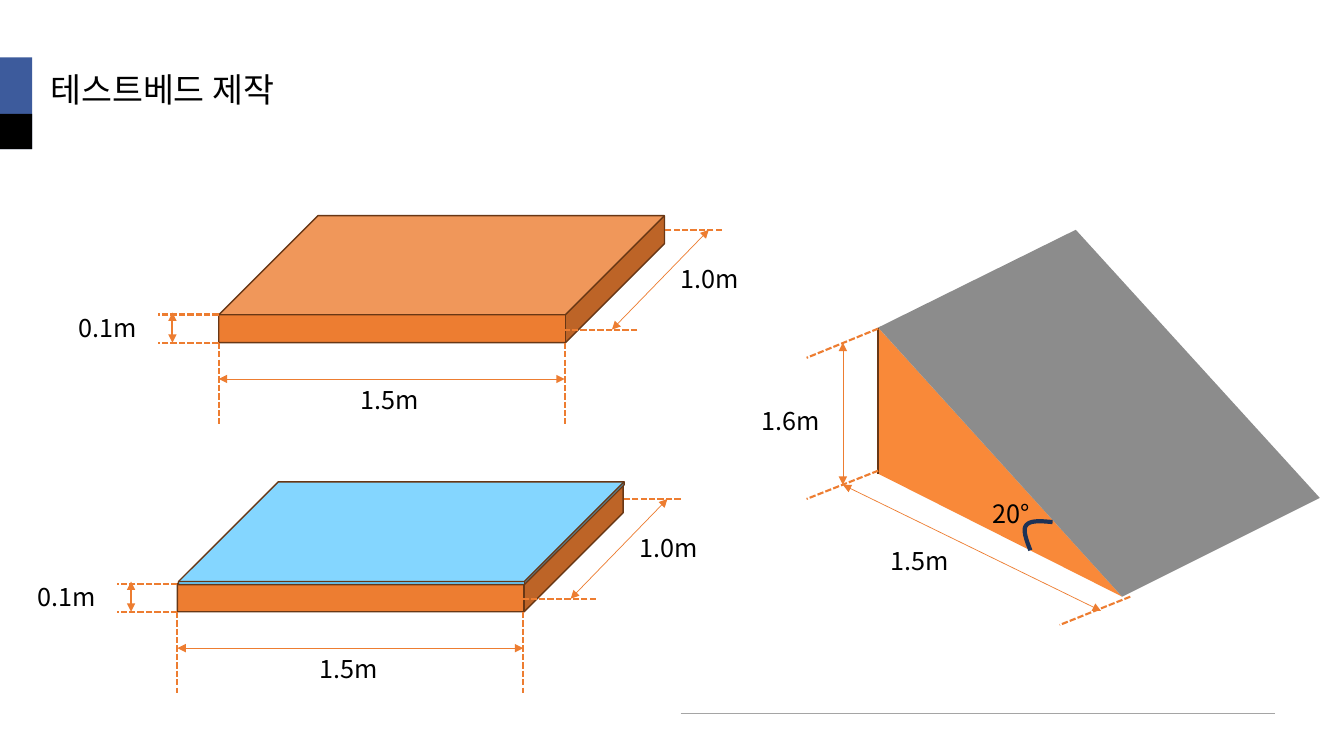
from lxml.etree import SubElement as Sub
from pptx import Presentation
from pptx.dml.color import RGBColor as Rgb
from pptx.enum.dml import MSO_LINE as Dash
from pptx.enum.shapes import MSO_CONNECTOR as Conn, MSO_SHAPE as Kind
from pptx.enum.text import MSO_ANCHOR as Anchor, MSO_AUTO_SIZE as Auto
from pptx.oxml.ns import qn
from pptx.util import Pt

PX = 9144
FONT = "Noto Sans CJK KR"
HUE = {
    "orange": "ED7D31", "brown": "683715", "sky": "66CCFF", "navy": "1E3256",
    "blue": "3D5B9C", "black": "000000", "rule": "A5A5A5",
    "side": "F98939", "slope": "8C8C8C",
}


def color(name):
    """Return the named colour."""
    return Rgb.from_string(HUE[name])


def paint(shape, fill=None, line=None, width=1):
    """Set the fill and outline of a shape."""
    shape.shadow.inherit = False
    if fill:
        shape.fill.solid()
        shape.fill.fore_color.rgb = color(fill)
    else:
        shape.fill.background()
    if line:
        shape.line.color.rgb = color(line)
        shape.line.width = Pt(width)
    else:
        shape.line.fill.background()


def block(slide, kind, box, fill, line=None, adj=None):
    """Add a preset shape."""
    shape = slide.shapes.add_shape(kind, *(n * PX for n in box))
    if adj is not None:
        shape.adjustments[0] = adj
    paint(shape, fill, line)


def path(slide, points, fill=None, line=None, width=1):
    """Add an outline through points, closed when it is filled."""
    spots = [(round(x * PX), round(y * PX)) for x, y in points]
    form = slide.shapes.build_freeform(*spots[0])
    form.add_line_segments(spots[1:], close=bool(fill))
    paint(form.convert_to_shape(), fill, line, width)


def curve(knots, steps=10):
    """Return points along a cubic curve."""
    spots = []
    for step in range(steps + 1):
        t = step / steps
        load = ((1 - t) ** 3, 3 * t * (1 - t) ** 2, 3 * t * t * (1 - t), t ** 3)
        spots.append(tuple(sum(w * k[i] for w, k in zip(load, knots)) for i in (0, 1)))
    return spots


def stroke(slide, ends, hue="orange", width=1.5, dash=False, heads=False):
    """Add a straight line."""
    line = slide.shapes.add_connector(Conn.STRAIGHT, *(n * PX for n in ends))
    line.line.color.rgb = color(hue)
    line.line.width = Pt(width)
    if dash:
        line.line.dash_style = Dash.SQUARE_DOT
    props = line.element.spPr
    if heads:
        for tag in ("a:headEnd", "a:tailEnd"):
            Sub(props.find(qn("a:ln")), qn(tag), type="triangle")
    Sub(props, qn("a:effectLst"))


def write(slide, text, left, top, width=108, height=40, size=18, anchor=Anchor.TOP, space=1.0):
    """Add a text box."""
    frame = slide.shapes.add_textbox(*(n * PX for n in (left, top, width, height))).text_frame
    frame.word_wrap = True
    frame.auto_size = Auto.NONE
    frame.vertical_anchor = anchor
    para = frame.paragraphs[0]
    para.line_spacing = space
    run = para.add_run()
    run.text = text
    run.font.size = Pt(size)
    run.font.name = FONT
    run.font.color.rgb = color("black")
    Sub(run.font._element, qn("a:ea"), typeface=FONT)


def board(slide, left, top):
    """Draw a flat board with its three dimensions."""
    def move(ends):
        """Shift line ends to the board."""
        return [n + (left, top)[i % 2] for i, n in enumerate(ends)]

    block(slide, Kind.CUBE, (left, top, 442, 126), "orange", "brown", 0.78)
    for ends, width in (
        ((-46, 96, -46, 126), 1.5),
        ((343, 162, 0, 162), 0.5),
        ((486, 14, 390, 113), 0.5),
    ):
        stroke(slide, move(ends), width=width, heads=True)
    for ends in (
        (0, 98, -60, 98), (0, 126, -60, 126),
        (0, 126, 0, 207), (343, 126, 343, 207),
        (415, 113, 343, 113), (499, 14, 442, 14),
    ):
        stroke(slide, move(ends), dash=True)
    for text, x, y in (("0.1m", -149, 91), ("1.5m", 131, 162), ("1.0m", 448, 42)):
        write(slide, text, left + x, top + y)


def ramp(slide):
    """Draw the ramp with its dimensions and angle."""
    peak, foot, toe = (871, 325), (871, 470), (1113, 592)
    path(slide, [peak, foot, toe], "side")
    path(slide, [peak, (1067, 228), (1309, 494), toe], "slope")
    stroke(slide, peak + foot, "brown", 1)
    for ends in ((836, 481, 1092, 606), (836, 481, 836, 340)):
        stroke(slide, ends, width=0.5, heads=True)
    for ends in ((871, 467, 800, 495), (1121, 592, 1051, 620), (871, 326, 800, 355)):
        stroke(slide, ends, dash=True)
    arc = curve([(1022, 546), (1018, 536), (1014, 525), (1018, 521)])
    arc += curve([(1018, 521), (1022, 516), (1033, 517), (1044, 518)])[1:]
    path(slide, arc, line="navy", width=3)
    for text, x, y in (("1.5m", 873, 536), ("1.6m", 745, 397), ("20°", 975, 489)):
        write(slide, text, x, y)


def main():
    """Build and save the slide."""
    deck = Presentation()
    deck.slide_width, deck.slide_height = 1333 * PX, 750 * PX
    slide = deck.slides.add_slide(deck.slide_layouts[6])
    stroke(slide, (675, 708, 1265, 708), "rule", 1)
    block(slide, Kind.RECTANGLE, (0, 57, 32, 91), "blue")
    block(slide, Kind.RECTANGLE, (0, 113, 32, 35), "black")
    write(slide, "테스트베드 제작", 40, 66, 1238, 49, 24, Anchor.MIDDLE, 0.9)
    board(slide, 217, 214)
    board(slide, 176, 481)
    block(slide, Kind.CUBE, (177, 478, 442, 102), "sky", "brown", 0.97)
    ramp(slide)
    deck.save("out.pptx")


if __name__ == "__main__":
    main()
